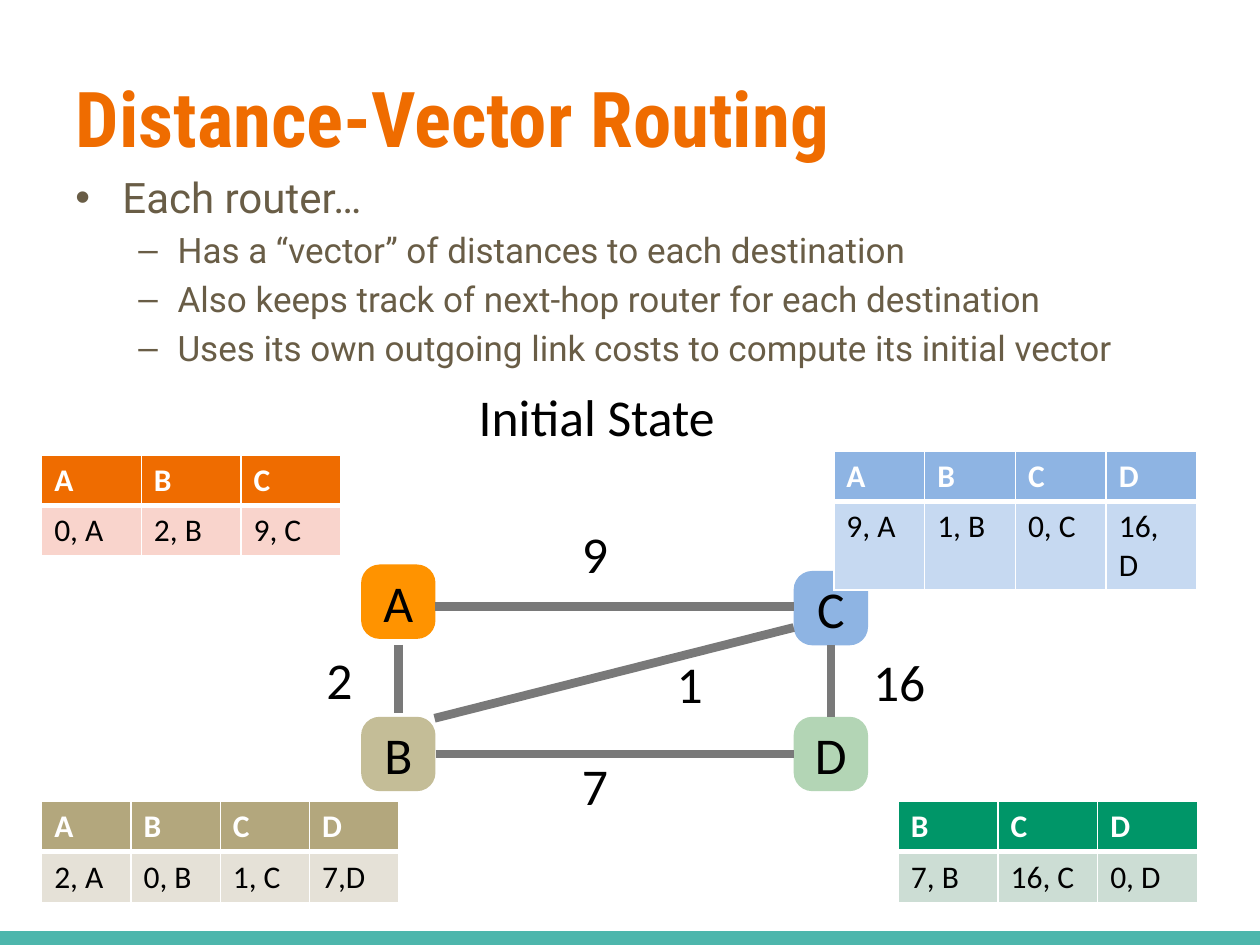
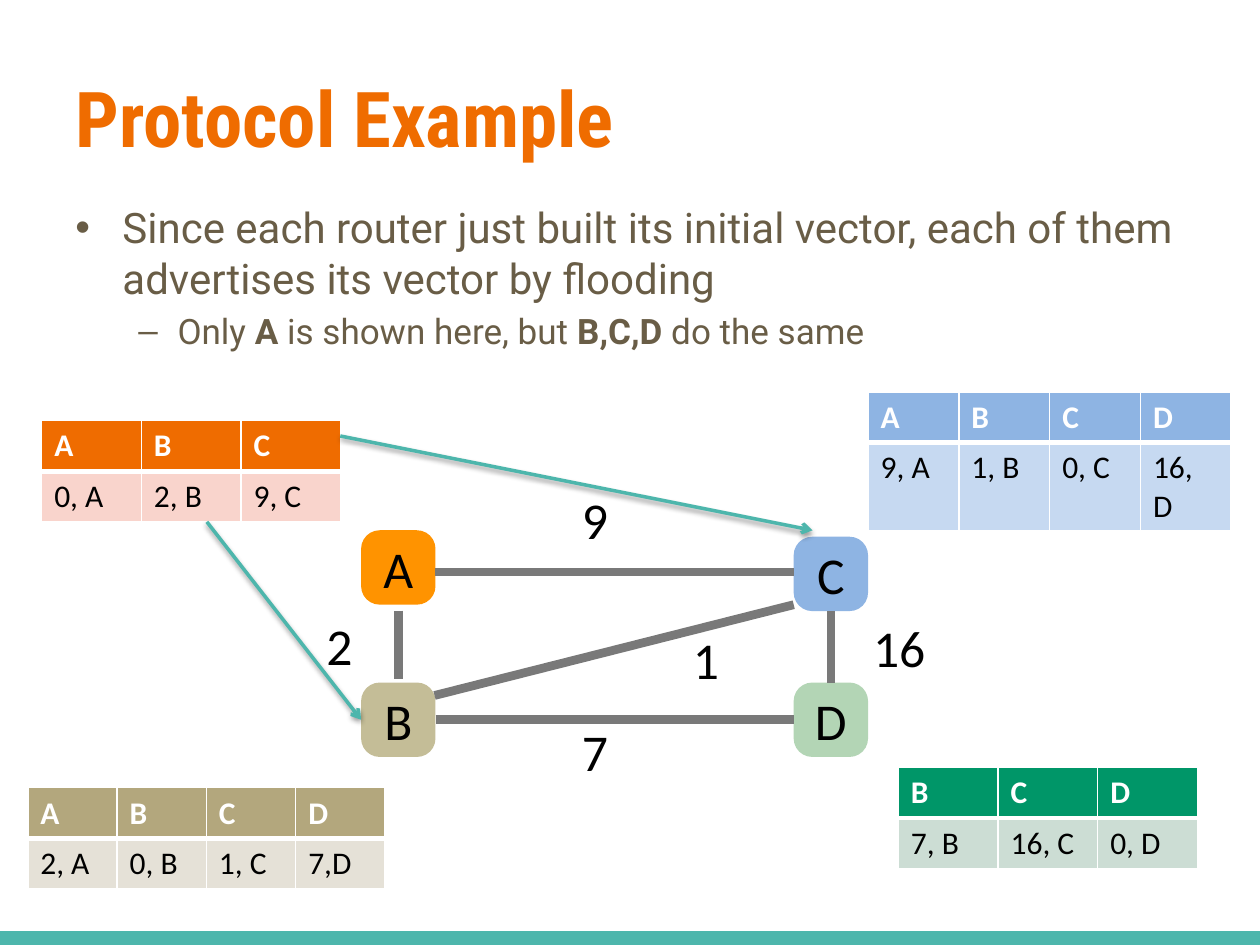
import pptx
import pptx.util
import pptx.dml.color
import pptx.enum.shapes
import pptx.enum.text
from lxml import etree
from pptx.oxml.ns import qn

Cm = pptx.util.Cm
Pt = pptx.util.Pt

COLORS = {
    "title": "EF6C00", "body": "695D46", "accent": "4DB6AC", "link": "797979",
    "black": "000000", "white": "FFFFFF",
}
NODE_SIZE = 1.5
NODES = {
    "A": (7.28, 11.38, "FF9300"),
    "B": (7.28, 14.45, "C4BD97"),
    "C": (16, 11.51, "8EB4E3"),
    "D": (16, 14.45, "B3D5B5"),
}
FREE_LINKS = [((8.76, 12.22), (16, 12.22)), ((8.03, 13), (8.03, 14.38))]
JOINED_LINKS = [("B", 3, "D", 1), ("C", 2, "D", 0)]
COSTS = [("7", 11.63, 15.09), ("2", 6.48, 12.95), ("16", 17.5, 13), ("9", 11.63, 10.41)]
COST_WIDTHS = {1: 0.74, 2: 1.27}
CAPTION_WIDTH = 5.5
VECTORS = {
    "A": (2.01, "EF6C00", "F9D4CC", [("A", "0, A"), ("B", "2, B"), ("C", "9, C")]),
    "B": (1.8, "B3A77D", "E5E1D7", [("A", "2, A"), ("B", "0, B"), ("C", "1, C"), ("D", "7,D")]),
    "C": (1.83, "8EB4E3", "C6D9F1", [("A", "9, A"), ("B", "1, B"), ("C", "0, C"), ("D", "16, D")]),
    "D": (2.01, "009668", "CCDDD4", [("B", "7, B"), ("C", "16, C"), ("D", "0, D")]),
}
ROW_HEIGHT = 1.02
BULLETS = [("•", 0.95, -0.95, 24), ("–", 2.06, -0.79, 20)]

SLIDES = [
    {
        "title": "Distance-Vector Routing",
        "body_top": 3.33,
        "body": [
            (0, [("Each router…", False)]),
            (1, [("Has a “vector” of distances to each destination", False)]),
            (1, [("Also keeps track of next-hop router for each destination", False)]),
            (1, [("Uses its own outgoing link costs to compute its initial vector", False)]),
        ],
        "rise": 0,
        "diagonal": ((8.76, 14.48), (16, 12.65)),
        "labels": [("1", 13.54, 13.03), ("Initial State", 9.55, 7.65)],
        "tables": {"A": (0.84, 9.17), "B": (0.84, 16.15), "C": (16.81, 9.09), "D": (18.11, 16.15)},
        "arrows": [],
    },
    {
        "title": "Protocol Example",
        "body_top": 3.94,
        "body": [
            (0, [("Since each router just built its initial vector, each of them "
                  "advertises its vector by flooding", False)]),
            (1, [("Only ", False), ("A", True), (" is shown here, but ", False),
                 ("B,C,D", True), (" do the same", False)]),
        ],
        "rise": 0.69,
        "diagonal": ((8.76, 14.02), (16, 12.19)),
        "labels": [("1", 13.87, 12.55)],
        "tables": {"A": (0.84, 8.48), "B": (0.56, 15.88), "C": (17.5, 7.9), "D": (18.11, 15.47)},
        "arrows": [((6.86, 8.79), (16.38, 10.69), None), ((4.17, 10.52), (7.28, 14.51), "B")],
    },
]


def rgb(value):
    return pptx.dml.color.RGBColor.from_string(value)


def set_font(font, name, size, color, bold=False):
    font.name = name
    font.size = Pt(size)
    font.bold = bold
    font.color.rgb = rgb(color)


def add_line(slide, start, end, color, width, shadow=False):
    line = slide.shapes.add_connector(
        pptx.enum.shapes.MSO_CONNECTOR.STRAIGHT, *map(Cm, (*start, *end)))
    line.line.color.rgb = rgb(color)
    line.line.width = Pt(width)
    effects = etree.SubElement(line._element.spPr, qn("a:effectLst"))
    if shadow:
        outer = etree.SubElement(effects, qn("a:outerShdw"), blurRad=str(Pt(3.1)),
                                 dist=str(Pt(1.6)), dir="5400000", rotWithShape="0")
        black = etree.SubElement(outer, qn("a:srgbClr"), val=COLORS["black"])
        etree.SubElement(black, qn("a:alpha"), val="38000")
    return line


def add_title(slide, text):
    title = slide.shapes.title
    title.left, title.top, title.width, title.height = map(Cm, (1.27, 0.76, 22.86, 3.18))
    frame = title.text_frame
    frame.text = text
    frame.auto_size = pptx.enum.text.MSO_AUTO_SIZE.NONE
    frame.vertical_anchor = pptx.enum.text.MSO_ANCHOR.MIDDLE
    paragraph = frame.paragraphs[0]
    paragraph.alignment = pptx.enum.text.PP_ALIGN.LEFT
    set_font(paragraph.font, "Roboto Condensed", 44, COLORS["title"], True)


def add_body(slide, top, items):
    frame = slide.shapes.add_textbox(Cm(1.27), Cm(top), Cm(22.86), Cm(4.5)).text_frame
    frame.word_wrap = True
    for index, (level, runs) in enumerate(items):
        paragraph = frame.add_paragraph() if index else frame.paragraphs[0]
        character, margin, indent, size = BULLETS[level]
        paragraph.level = level
        if index:
            paragraph.space_before = Pt(size * 0.2)
        properties = paragraph._p.get_or_add_pPr()
        properties.set("marL", str(Cm(margin)))
        properties.set("indent", str(Cm(indent)))
        etree.SubElement(properties, qn("a:buFont"), typeface="Arial")
        etree.SubElement(properties, qn("a:buChar"), char=character)
        set_font(paragraph.font, "Roboto", size, COLORS["body"])
        for text, bold in runs:
            run = paragraph.add_run()
            run.text = text
            if bold:
                run.font.bold = True


def add_node(slide, name, left, top, fill):
    node = slide.shapes.add_shape(
        pptx.enum.shapes.MSO_SHAPE.ROUNDED_RECTANGLE,
        *map(Cm, (left, top, NODE_SIZE, NODE_SIZE)))
    node.adjustments[0] = 0.25
    node.shadow.inherit = False
    node.fill.solid()
    node.fill.fore_color.rgb = rgb(fill)
    node.line.fill.background()
    write_label(node.text_frame, name, 0)
    node.text_frame.paragraphs[0].alignment = pptx.enum.text.PP_ALIGN.CENTER
    return node


def write_label(frame, text, inset):
    frame.text = text
    frame.word_wrap = False
    frame.vertical_anchor = pptx.enum.text.MSO_ANCHOR.MIDDLE
    frame.margin_left = frame.margin_right = Cm(inset)
    frame.margin_top = frame.margin_bottom = Cm(inset)
    set_font(frame.paragraphs[0].font, "Calibri", 29.5, COLORS["black"])


def add_label(slide, text, left, top):
    width = COST_WIDTHS.get(len(text), CAPTION_WIDTH)
    box = slide.shapes.add_textbox(*map(Cm, (left, top, width, 1.47)))
    write_label(box.text_frame, text, 0.1)


def add_network(slide, content):
    rise = content["rise"]
    nodes = {name: add_node(slide, name, left, top - rise, fill)
             for name, (left, top, fill) in NODES.items()}
    for (x1, y1), (x2, y2) in FREE_LINKS:
        add_line(slide, (x1, y1 - rise), (x2, y2 - rise), COLORS["link"], 5)
    for first, first_side, second, second_side in JOINED_LINKS:
        link = add_line(slide, (0, 0), (1, 1), COLORS["link"], 5)
        link.begin_connect(nodes[first], first_side)
        link.end_connect(nodes[second], second_side)
    add_line(slide, *content["diagonal"], COLORS["link"], 5)
    for text, left, top in COSTS:
        add_label(slide, text, left, top - rise)
    for label in content["labels"]:
        add_label(slide, *label)
    return nodes


def add_header_rule(cell):
    rule = etree.Element(qn("a:lnB"), w=str(Pt(3)))
    fill = etree.SubElement(rule, qn("a:solidFill"))
    etree.SubElement(fill, qn("a:srgbClr"), val=COLORS["white"])
    cell._tc.get_or_add_tcPr().insert(0, rule)


def add_vector(slide, name, left, top):
    column_width, header_fill, value_fill, entries = VECTORS[name]
    table = slide.shapes.add_table(
        2, len(entries),
        *map(Cm, (left, top, column_width * len(entries), 2 * ROW_HEIGHT))).table
    row_styles = [(header_fill, COLORS["white"], True), (value_fill, COLORS["black"], False)]
    for column, entry in enumerate(entries):
        table.columns[column].width = Cm(column_width)
        for row, (fill, color, bold) in enumerate(row_styles):
            cell = table.cell(row, column)
            cell.text = entry[row]
            cell.fill.solid()
            cell.fill.fore_color.rgb = rgb(fill)
            set_font(cell.text_frame.paragraphs[0].font, "Calibri", 18, color, bold)
        add_header_rule(table.cell(0, column))


def add_arrow(slide, start, end, target):
    arrow = add_line(slide, start, end, COLORS["accent"], 2, True)
    etree.SubElement(arrow.line._get_or_add_ln(), qn("a:tailEnd"), type="arrow")
    if target:
        arrow.end_connect(target, 1)


def build_slide(presentation, content):
    slide = presentation.slides.add_slide(presentation.slide_layouts[5])
    add_line(slide, (0, 18.95), (25.4, 18.95), COLORS["accent"], 10)
    add_title(slide, content["title"])
    add_body(slide, content["body_top"], content["body"])
    nodes = add_network(slide, content)
    for name, position in content["tables"].items():
        add_vector(slide, name, *position)
    for start, end, target in content["arrows"]:
        add_arrow(slide, start, end, nodes.get(target))


def main():
    presentation = pptx.Presentation()
    presentation.slide_width = Cm(25.4)
    presentation.slide_height = Cm(19.05)
    for content in SLIDES:
        build_slide(presentation, content)
    presentation.save("out.pptx")


if __name__ == "__main__":
    main()
